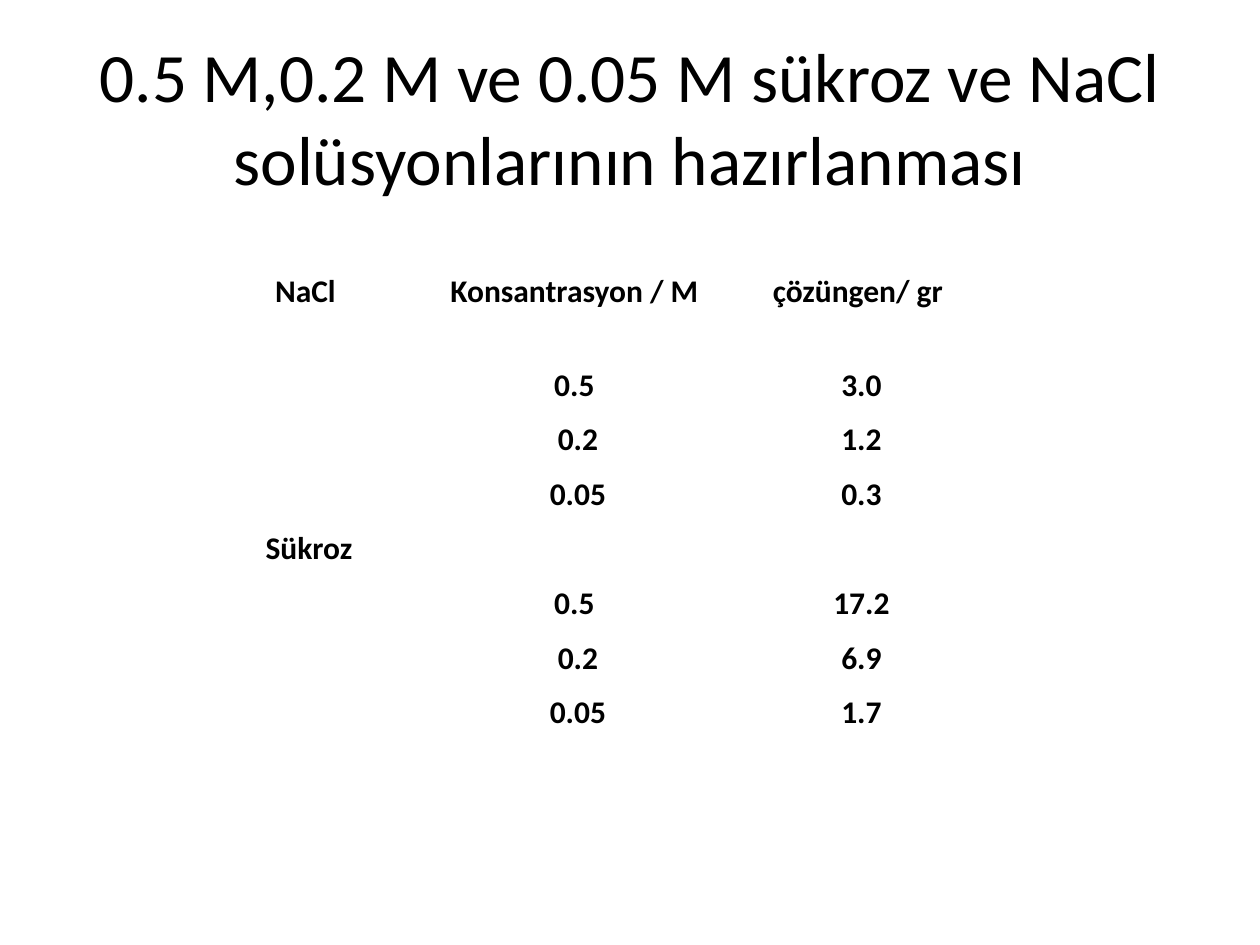
from pptx import Presentation, util as u
from pptx.dml.color import RGBColor
from pptx.enum import text as t

TITLE = "0.5 M,0.2 M ve 0.05 M sükroz ve NaCl solüsyonlarının hazırlanması"
ROWS = [
    ("NaCl ", "Konsantrasyon / M ", "çözüngen/ gr "),
    ("", "0.5 ", "3.0"),
    ("", "0.2", "1.2"),
    ("", "0.05", "0.3"),
    ("Sükroz", "", ""),
    ("", "0.5 ", "17.2"),
    ("", "0.2", "6.9"),
    ("", "0.05", "1.7"),
]
COLS = [198, 340, 227, 59, 79]
HEAD, BODY = 94, 382  # heights of the header row and of all other rows


def px(n):
    return u.Emu(round(n * 914400 / 126))


def write(frame, words, size, bold=False, color="000000"):
    para = frame.paragraphs[0]
    para.alignment = t.PP_ALIGN.CENTER
    run = para.add_run()
    run.text = words
    font = run.font
    font.name, font.size, font.bold = "Calibri", u.Pt(size), bold
    font.color.rgb = RGBColor.from_string(color)


def add_title(slide):
    box = slide.shapes.add_textbox(px(63), px(38), px(1134), px(157))
    frame = box.text_frame
    frame.word_wrap = True
    frame.vertical_anchor = t.MSO_ANCHOR.MIDDLE
    write(frame, TITLE, 39.6)


def add_grid(slide):
    grid = slide.shapes.add_table(len(ROWS), len(COLS), px(210), px(266),
                                  px(sum(COLS)), px(HEAD + BODY)).table
    grid.first_row = grid.horz_banding = False
    for col, width in zip(grid.columns, COLS):
        col.width = px(width)
    for i, row in enumerate(grid.rows):
        row.height = px(BODY / (len(ROWS) - 1) if i else HEAD)
    for cell in grid.iter_cells():
        cell.fill.background()
    for i, row in enumerate(ROWS):
        for j, words in enumerate(row):
            if words:
                write(grid.cell(i, j).text_frame, words, 18, bold=True)


def main():
    deck = Presentation()
    deck.slide_width, deck.slide_height = px(1260), px(945)
    slide = deck.slides.add_slide(deck.slide_layouts[6])
    add_title(slide)
    add_grid(slide)
    deck.save("out.pptx")


if __name__ == "__main__":
    main()
